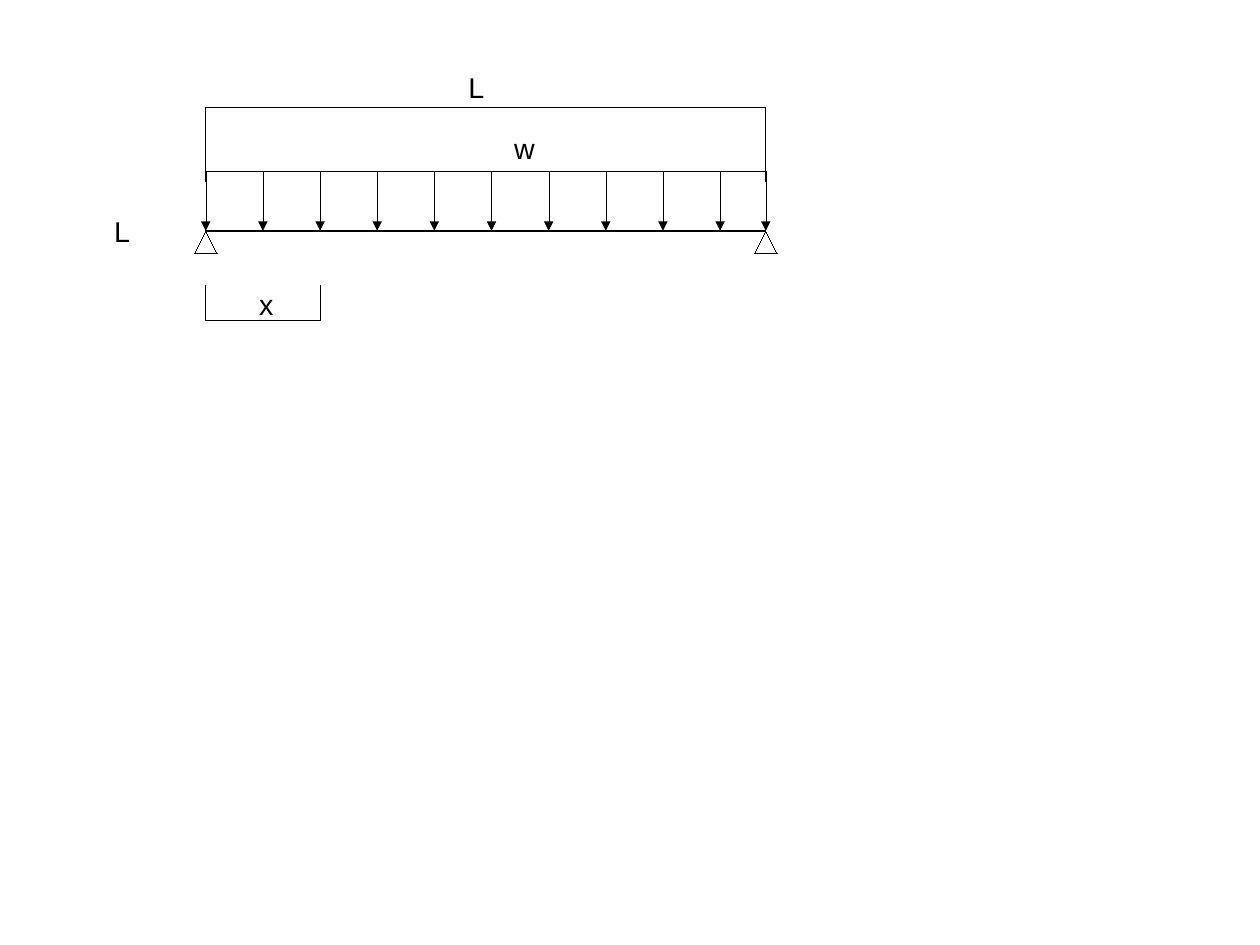
import pptx
import pptx.util
import pptx.dml.color
import pptx.enum.shapes
import pptx.enum.text
import pptx.oxml.ns
import lxml.etree

Pt = pptx.util.Pt
qn = pptx.oxml.ns.qn
COLORS = {"ink": "000000", "paper": "FFFFFF"}
HAIRLINE = 0

# Beam geometry in points
LEFT, RIGHT = 129.6, 482.4
SPAN_Y, LOAD_Y, BEAM_Y = 67.7, 108, 145.4
ARROW_STEP = 36
X_TOP, X_BOTTOM = 180, 201.6
SUPPORT_SIZE = 14.4


def color(name):
    return pptx.dml.color.RGBColor.from_string(COLORS[name])


def set_stroke(shape, width=HAIRLINE):
    shape.line.color.rgb = color("ink")
    stroke = shape._element.spPr.find(qn("a:ln"))
    # A zero width has to be written out, or the theme's width applies
    stroke.set("w", str(int(Pt(width))))
    return stroke


def add_line(page, start, end, width=HAIRLINE, arrow=False):
    line = page.shapes.add_connector(
        pptx.enum.shapes.MSO_CONNECTOR.STRAIGHT, *map(Pt, start + end))
    stroke = set_stroke(line, width)
    if arrow:
        lxml.etree.SubElement(stroke, qn("a:tailEnd"), type="triangle")
    lxml.etree.SubElement(line._element.spPr, qn("a:effectLst"))


def add_support(page, x):
    support = page.shapes.add_shape(
        pptx.enum.shapes.MSO_SHAPE.ISOSCELES_TRIANGLE,
        Pt(x - SUPPORT_SIZE / 2), Pt(BEAM_Y), Pt(SUPPORT_SIZE), Pt(SUPPORT_SIZE))
    support.shadow.inherit = False
    support.fill.solid()
    support.fill.fore_color.rgb = color("paper")
    set_stroke(support)


def add_label(page, text, left, top, width=31.7):
    box = page.shapes.add_textbox(Pt(left), Pt(top), Pt(width), Pt(27.4))
    frame = box.text_frame
    frame.word_wrap = True
    frame.auto_size = pptx.enum.text.MSO_AUTO_SIZE.NONE
    frame.margin_left = frame.margin_right = Pt(7.2)
    frame.margin_top = frame.margin_bottom = Pt(3.6)
    span = frame.paragraphs[0].add_run()
    span.text = text
    span.font.name = "Arial"
    span.font.size = Pt(18)
    span.font.color.rgb = color("ink")


def add_dimension(page, left, right, line_y, leg_y):
    add_line(page, (left, line_y), (right, line_y))
    for x in (left, right):
        add_line(page, (x, line_y), (x, leg_y))


def main():
    deck = pptx.Presentation()
    deck.slide_width, deck.slide_height = Pt(793.7), Pt(595.28)
    page = deck.slides.add_slide(deck.slide_layouts[6])

    # Beam on two supports
    add_line(page, (LEFT, BEAM_Y), (RIGHT, BEAM_Y), width=1.45)
    for x in (LEFT, RIGHT):
        add_support(page, x)

    # Dimensions of the span and of the section at x
    add_dimension(page, LEFT, RIGHT, SPAN_Y, 114.5)
    add_dimension(page, LEFT, LEFT + 2 * ARROW_STEP, X_BOTTOM, X_TOP)

    # Uniform load: even arrows, the last one at the right support
    for index in range(11):
        x = min(LEFT + index * ARROW_STEP, RIGHT)
        add_line(page, (x, LOAD_Y), (x, BEAM_Y), arrow=True)
    add_line(page, (LEFT, LOAD_Y), (RIGHT, LOAD_Y))

    # Labels
    add_label(page, "w", 316.8, 78.9)
    add_label(page, "L", 288, 40.3, width=76.3)
    add_label(page, "x", 156.2, 177.1)
    add_label(page, "L", 64.8, 131)

    deck.save("out.pptx")


main()
